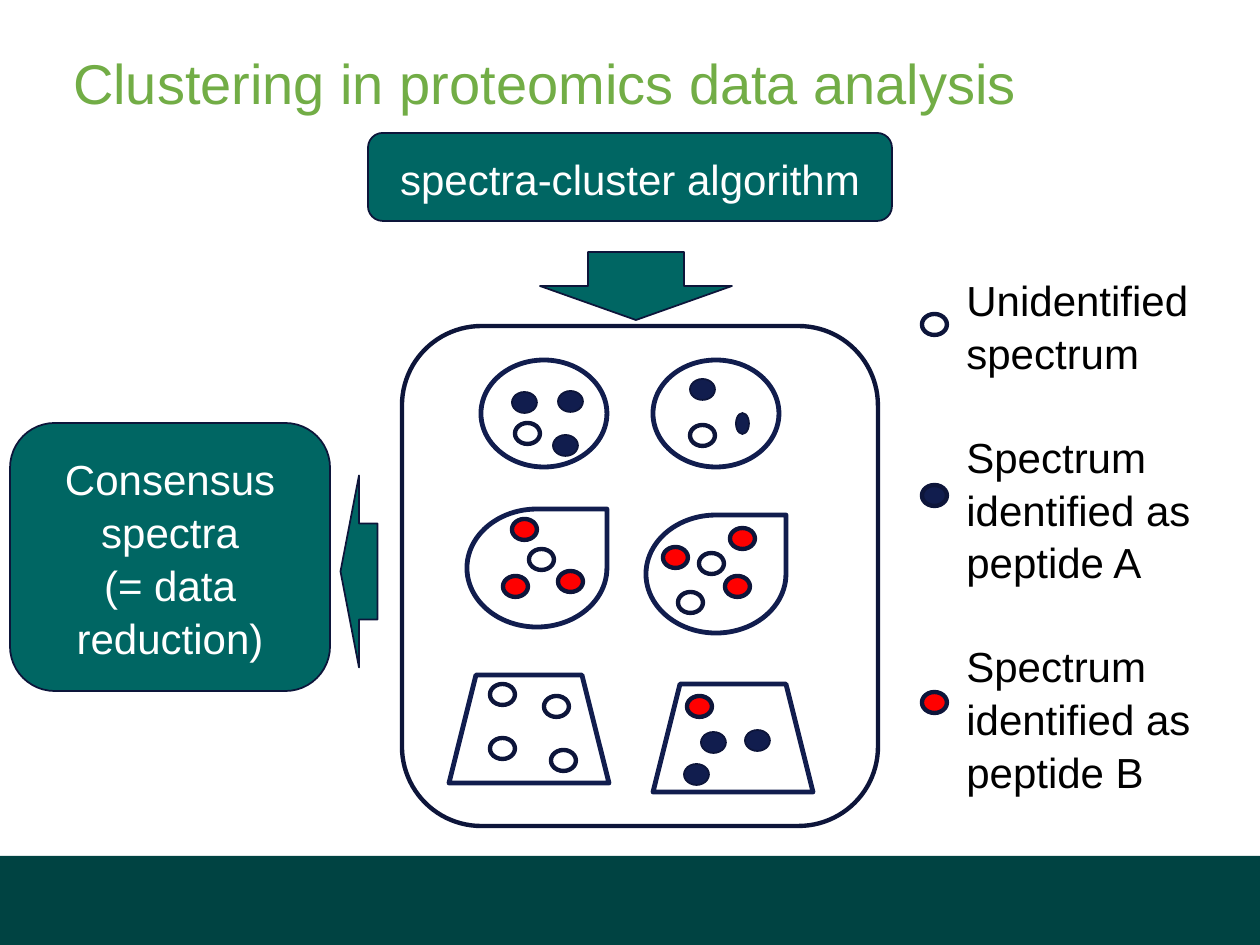
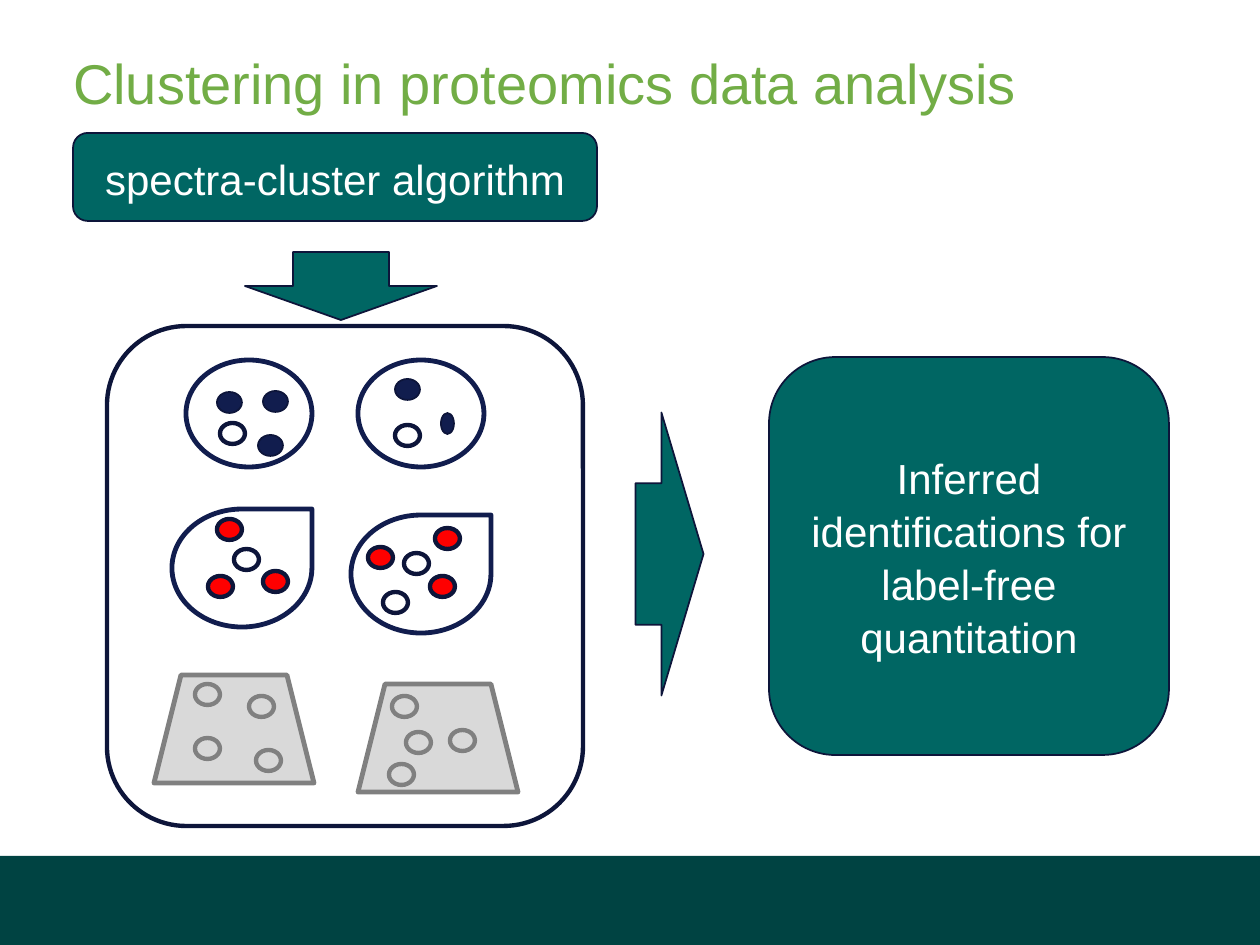
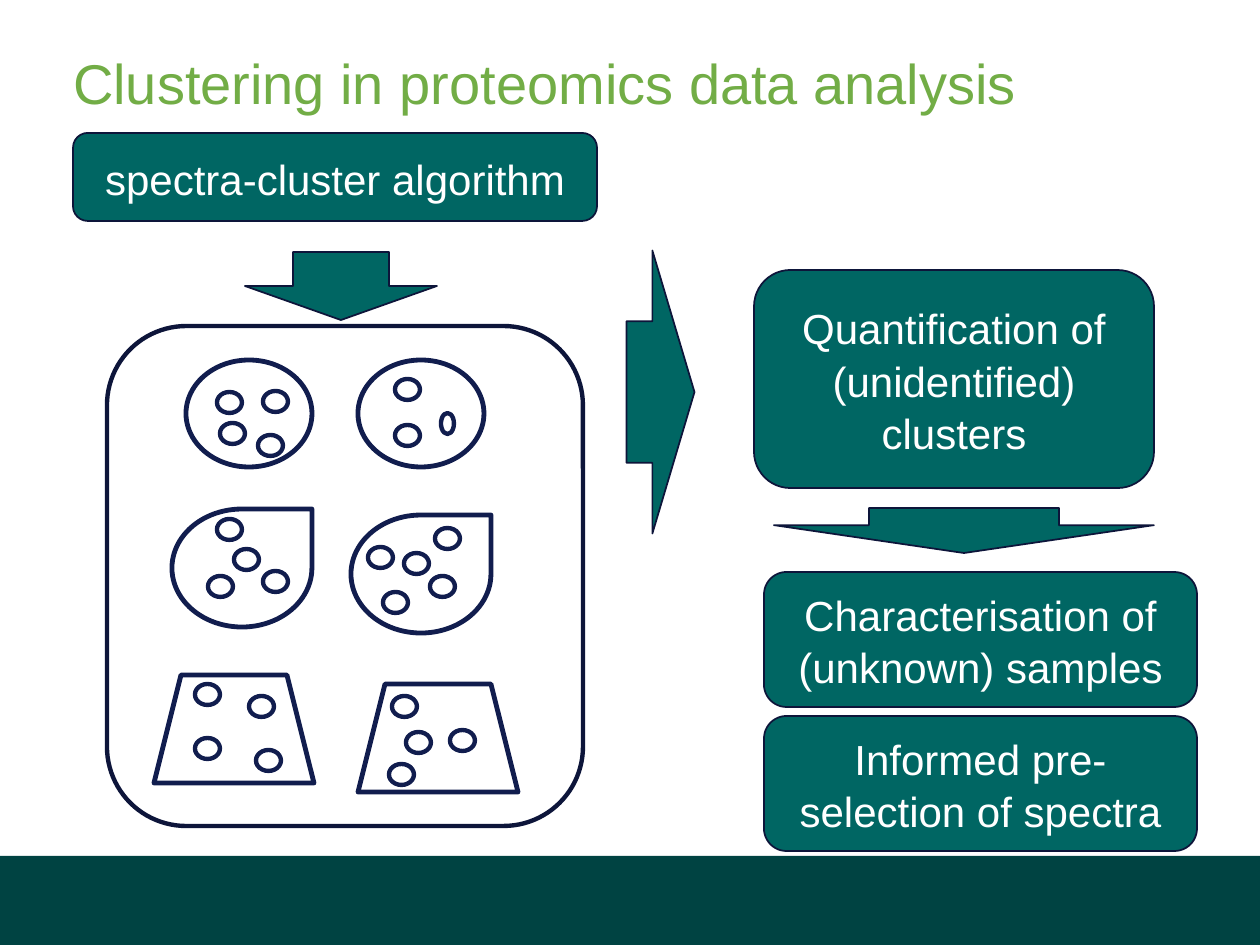
from dataclasses import dataclass

from pptx import Presentation
from pptx.dml.color import RGBColor
from pptx.enum.shapes import MSO_SHAPE
from pptx.enum.text import MSO_ANCHOR, MSO_AUTO_SIZE, PP_ALIGN
from pptx.util import Emu, Pt

ELLIPSE = MSO_SHAPE.OVAL
TEARDROP = MSO_SHAPE.TEAR
TRAPEZOID = MSO_SHAPE.TRAPEZOID
ROUNDED = MSO_SHAPE.ROUNDED_RECTANGLE
DOWN_ARROW = MSO_SHAPE.DOWN_ARROW
RECTANGLE = MSO_SHAPE.RECTANGLE
LEFT, CENTER = PP_ALIGN.LEFT, PP_ALIGN.CENTER
TOP, MIDDLE = MSO_ANCHOR.TOP, MSO_ANCHOR.MIDDLE
NO_AUTOFIT = MSO_AUTO_SIZE.NONE

BAND_GREEN = RGBColor(0x00, 0x43, 0x42)
TEAL = RGBColor(0x00, 0x66, 0x63)
TITLE_GREEN = RGBColor(0x72, 0xAD, 0x46)
INK = RGBColor(0x0D, 0x15, 0x3A)
NAVY = RGBColor(0x11, 0x1D, 0x4E)
RED = RGBColor(0xFF, 0x00, 0x00)
GREY = RGBColor(0x80, 0x80, 0x80)
PALE_GREY = RGBColor(0xD9, 0xD9, 0xD9)
WHITE = RGBColor(0xFF, 0xFF, 0xFF)
BLACK = RGBColor(0x00, 0x00, 0x00)

FONT = "Arial"
TITLE = "Clustering in proteomics data analysis"
EMU_PER_PX = 914400 / 126
SLIDE_WIDTH, SLIDE_HEIGHT = 1260, 945
TITLE_BOX = (73, 42, 1124, 104)
BAND_BOX = (0, 856, 1260, 89)
PANEL_SIZE = (476, 500)
SPECTRUM_SIZE = (25, 21)
NARROW_SPECTRUM_SIZE = (13, 21)
LONG_HEAD = (0.5, 0.619)


@dataclass(frozen=True)
class Look:
    fill: RGBColor | None
    line: RGBColor | None
    weight: float = 0


BAND = Look(BAND_GREEN, None)
TEAL_BOX = Look(TEAL, INK, 1)
PANEL = Look(None, INK, 2.5)
CLUSTER = Look(WHITE, NAVY, 2.75)
GREY_CLUSTER = Look(PALE_GREY, GREY, 2.75)
OPEN_CLUSTER = Look(None, NAVY, 2.75)
GREY_SPECTRUM = Look(PALE_GREY, GREY, 2.5)
OPEN_SPECTRUM = Look(None, NAVY, 2.5)
UNIDENTIFIED = Look(None, INK, 2.5)
PEPTIDE_A = Look(NAVY, INK, 1)
PEPTIDE_B = Look(RED, INK, 2.5)
PEPTIDE_A_KEY = Look(NAVY, INK, 2.5)

IDENTITY_LOOKS = {"U": UNIDENTIFIED, "A": PEPTIDE_A, "N": PEPTIDE_A, "B": PEPTIDE_B}
GREY_LOOKS = dict.fromkeys("UANB", GREY_SPECTRUM)
OPEN_LOOKS = dict.fromkeys("UANB", OPEN_SPECTRUM)

# Outline, box within the panel, spectra (identity, x, y) within the cluster.
# "N" is a narrow spectrum of peptide A.
CLUSTERS = [
    (ELLIPSE, (79, 34, 126, 107),
     [("A", 31, 32), ("A", 77, 31), ("U", 34, 63), ("A", 72, 75)]),
    (ELLIPSE, (251, 34, 126, 107),
     [("A", 37, 19), ("N", 83, 53), ("U", 37, 65)]),
    (TEARDROP, (65, 183, 140, 118),
     [("U", 62, 40), ("B", 45, 10), ("B", 36, 67), ("B", 91, 62)]),
    (TEARDROP, (244, 189, 140, 118),
     [("B", 84, 13), ("B", 17, 32), ("B", 79, 61), ("U", 32, 77), ("U", 53, 38)]),
    (TRAPEZOID, (47, 349, 160, 108),
     [("U", 41, 9), ("U", 95, 21), ("U", 41, 63), ("U", 102, 75)]),
    (TRAPEZOID, (251, 358, 160, 108),
     [("B", 34, 12), ("A", 92, 46), ("A", 48, 48), ("A", 31, 80)]),
]

LEGEND = [
    ("Unidentified spectrum", UNIDENTIFIED, 48),
    ("Spectrum identified as peptide A", PEPTIDE_A_KEY, 219),
    ("Spectrum identified as peptide B", PEPTIDE_B, 426),
]


def px(length):
    return Emu(round(length * EMU_PER_PX))


def add_outline(slide, kind, box, look):
    shape = slide.shapes.add_shape(kind, *map(px, box))
    shape.shadow.inherit = False
    if look.fill is None:
        shape.fill.background()
    else:
        shape.fill.solid()
        shape.fill.fore_color.rgb = look.fill
    if look.line is None:
        shape.line.fill.background()
    else:
        shape.line.color.rgb = look.line
        shape.line.width = Pt(look.weight)
    return shape


def write(frame, lines, size, color, align, spacing=1.05, gap=0):
    """Fill a text frame with one paragraph per line, gap points apart."""
    frame.word_wrap = True
    frame.text = "\n".join(lines)
    for index, paragraph in enumerate(frame.paragraphs):
        paragraph.alignment = align
        paragraph.line_spacing = spacing
        paragraph.space_before = Pt(gap if index else 0)
        for run in paragraph.runs:
            run.font.name = FONT
            run.font.size = Pt(size)
            run.font.color.rgb = color


def add_teal_box(slide, box, *lines):
    shape = add_outline(slide, ROUNDED, box, TEAL_BOX)
    shape.text_frame.vertical_anchor = MIDDLE
    write(shape.text_frame, lines, 24, WHITE, CENTER)


def add_arrow(slide, box, rotation=0, adjustments=(0.5, 0.5)):
    arrow = add_outline(slide, DOWN_ARROW, box, TEAL_BOX)
    arrow.rotation = rotation
    for index, value in enumerate(adjustments):
        arrow.adjustments[index] = value


def add_spectrum(slide, x, y, look, size=SPECTRUM_SIZE):
    add_outline(slide, ELLIPSE, (x, y, *size), look)


def add_cluster(slide, panel_x, panel_y, cluster, cluster_look, spectrum_looks):
    outline, (dx, dy, width, height), spectra = cluster
    x, y = panel_x + dx, panel_y + dy
    add_outline(slide, outline, (x, y, width, height), cluster_look)
    for identity, sx, sy in spectra:
        size = NARROW_SPECTRUM_SIZE if identity == "N" else SPECTRUM_SIZE
        add_spectrum(slide, x + sx, y + sy, spectrum_looks[identity], size)


def add_clustering(slide, x, y, round_looks, trapezoid_looks):
    """Draw the algorithm box, its arrow and the panel of clusters below."""
    add_teal_box(slide, (x, y, 524, 88), "spectra-cluster algorithm")
    add_arrow(slide, (x + 172, y + 119, 192, 68))
    panel_x, panel_y = x + 34, y + 193
    for cluster in CLUSTERS:
        looks = trapezoid_looks if cluster[0] == TRAPEZOID else round_looks
        add_cluster(slide, panel_x, panel_y, cluster, *looks)
    add_outline(slide, ROUNDED, (panel_x, panel_y, *PANEL_SIZE), PANEL)


def add_legend(slide, x, y):
    for _, look, offset in LEGEND:
        add_spectrum(slide, x, y + offset, look)
    labels = slide.shapes.add_textbox(px(x + 32), px(y), px(306), px(521))
    write(labels.text_frame, [label for label, _, _ in LEGEND], 24, BLACK, LEFT, gap=29)


def prepare_layout(layout, slide):
    """Give the layout its title box and bottom band, made through a slide."""
    title = layout.placeholders[0]
    title.left, title.top, title.width, title.height = map(px, TITLE_BOX)
    band = add_outline(slide, RECTANGLE, BAND_BOX, BAND)
    layout.shapes.element.insert(2, band.element)


def add_title(slide):
    frame = slide.shapes.title.text_frame
    frame.margin_left = frame.margin_top = frame.margin_right = frame.margin_bottom = 0
    frame.vertical_anchor = TOP
    frame.auto_size = NO_AUTOFIT
    write(frame, [TITLE], 32, TITLE_GREEN, LEFT, spacing=1.1)


def fill_consensus_slide(slide):
    looks = (CLUSTER, IDENTITY_LOOKS)
    add_clustering(slide, 368, 133, looks, looks)
    add_legend(slide, 922, 266)
    add_arrow(slide, (263, 553, 192, 37), rotation=90)
    add_teal_box(slide, (10, 423, 320, 268), "Consensus spectra", "(= data reduction)")


def fill_inference_slide(slide):
    add_clustering(slide, 73, 133, (CLUSTER, IDENTITY_LOOKS), (GREY_CLUSTER, GREY_LOOKS))
    add_teal_box(slide, (769, 357, 400, 398),
                 "Inferred identifications for label-free quantitation")
    add_arrow(slide, (528, 520, 283, 68), 270, LONG_HEAD)


def fill_quantification_slide(slide):
    add_clustering(slide, 73, 133, (CLUSTER, OPEN_LOOKS), (OPEN_CLUSTER, OPEN_LOOKS))
    add_teal_box(slide, (754, 270, 400, 218), "Quantification of (unidentified) clusters")
    add_arrow(slide, (519, 358, 283, 68), 270, LONG_HEAD)
    add_arrow(slide, (774, 508, 380, 45), adjustments=(0.5, 0.619))
    outcomes = ["Characterisation of (unknown) samples", "Informed pre-selection of spectra"]
    for index, outcome in enumerate(outcomes):
        add_teal_box(slide, (764, 572 + 144 * index, 433, 135), outcome)


def main():
    deck = Presentation()
    deck.slide_width, deck.slide_height = px(SLIDE_WIDTH), px(SLIDE_HEIGHT)
    layout = deck.slide_layouts[5]
    fillers = [fill_consensus_slide, fill_inference_slide, fill_quantification_slide]
    slides = [deck.slides.add_slide(layout) for _ in fillers]
    prepare_layout(layout, slides[0])
    for slide, fill in zip(slides, fillers):
        add_title(slide)
        fill(slide)
    deck.save("out.pptx")


if __name__ == "__main__":
    main()
